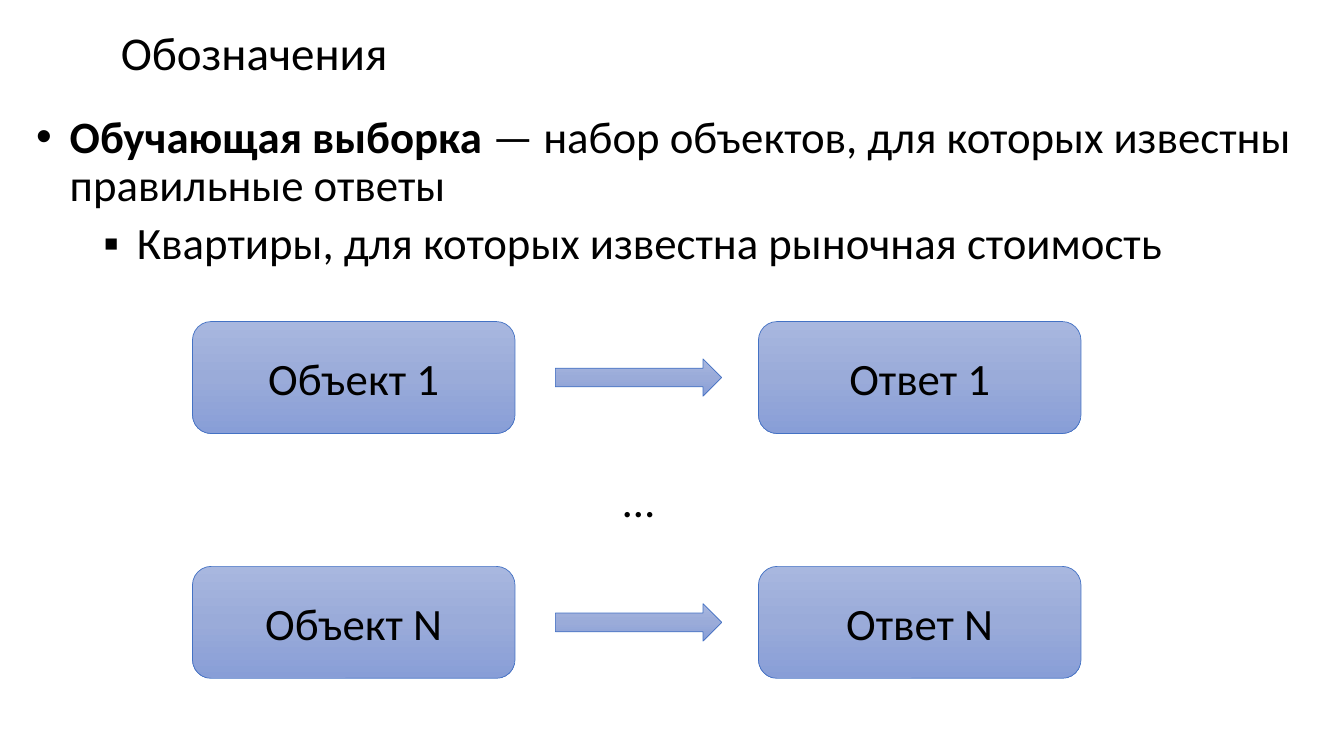
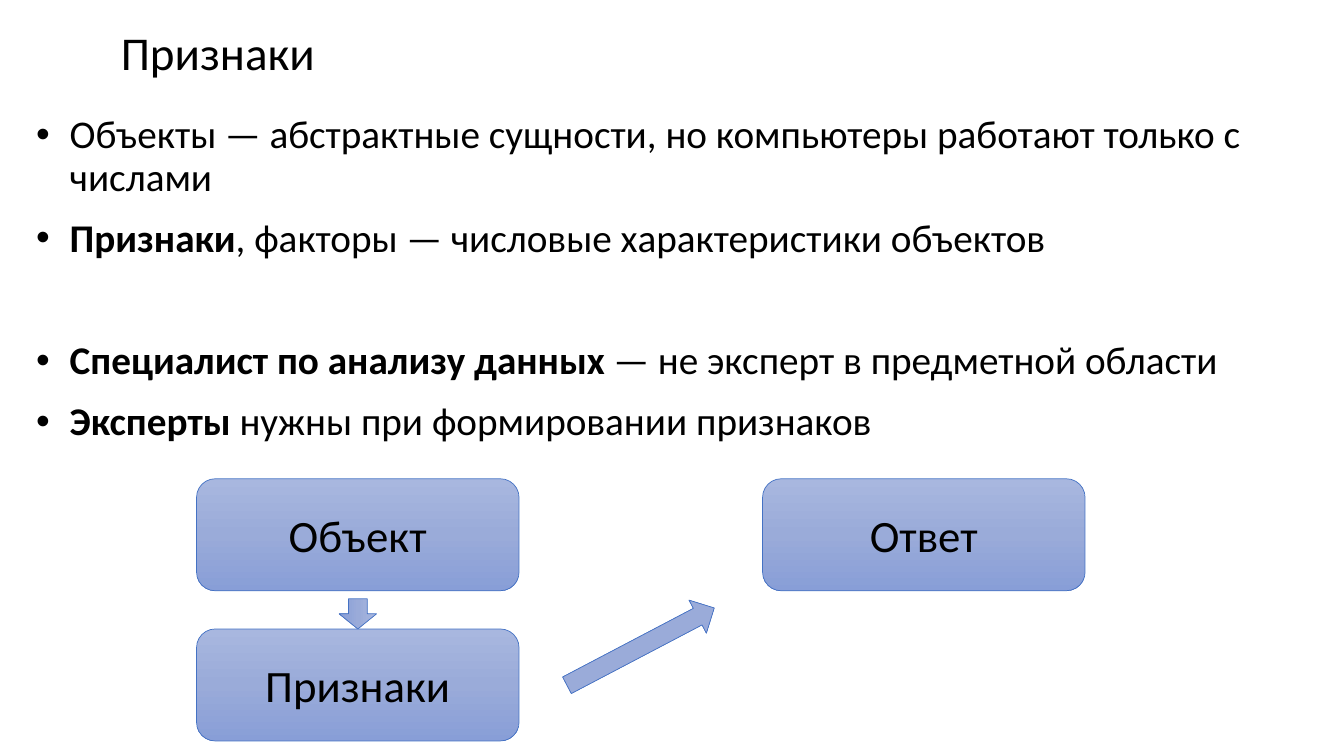
from copy import deepcopy
from dataclasses import dataclass

from lxml import etree
from pptx import Presentation
from pptx.dml.color import RGBColor
from pptx.enum.shapes import MSO_SHAPE
from pptx.enum.text import MSO_ANCHOR, PP_ALIGN
from pptx.oxml.ns import qn
from pptx.util import Pt

ROUNDED = MSO_SHAPE.ROUNDED_RECTANGLE
ARROW = MSO_SHAPE.RIGHT_ARROW
CENTER = PP_ALIGN.CENTER
TOP, MIDDLE = MSO_ANCHOR.TOP, MSO_ANCHOR.MIDDLE


@dataclass(frozen=True)
class Theme:
    font: str = "Calibri"
    bullet_font: str = "Arial"
    text: str = "000000"
    line: str = "4472C4"
    gradient: tuple = ((0, "A8B7DF"), (0.5, "9AABD9"), (1, "889ED7"))
    title_size: float = 33.6
    large_size: float = 32
    body_size: float = 28
    line_spacing: float = 0.9
    line_width: float = 0.5


@dataclass(frozen=True)
class Box:
    left: float
    top: float
    width: float
    height: float

    @property
    def middle_x(self):
        return self.left + self.width / 2

    @property
    def middle_y(self):
        return self.top + self.height / 2

    def lengths(self):
        return [Pt(value) for value in (self.left, self.top, self.width, self.height)]


@dataclass(frozen=True)
class Item:
    spans: tuple  # (text, bold) pairs
    level: int = 0
    space_before: float = 13.3


THEME = Theme()
PAGE_WIDTH, PAGE_HEIGHT = 960, 540
TITLE_BOX = Box(79.2, 18, 859.7, 43.2)
BODY_BOX = Box(18.7, 78.5, 920.2, 442)
HANGING = 24
BULLETS = (("•", HANGING), ("▪", 72))  # mark and text indent by level
NODE_WIDTH, NODE_HEIGHT = 230.4, 80
COLUMN_STEP = 404.3
ARROW_LENGTH, ARROW_HEIGHT = 118.8, 26.7


def centered_box(middle_x, middle_y, width, height):
    return Box(middle_x - width / 2, middle_y - height / 2, width, height)


def format_font(font, size, bold=False):
    font.name = THEME.font
    font.size = Pt(size)
    font.bold = bold
    font.color.rgb = RGBColor.from_string(THEME.text)


def add_label(page, box, text, size, wrap=True):
    frame = page.shapes.add_textbox(*box.lengths()).text_frame
    frame.word_wrap = wrap
    frame.vertical_anchor = TOP
    frame.text = text
    para = frame.paragraphs[0]
    format_font(para.runs[0].font, size)
    return para


# Title and bulleted text

def add_title(page, box, text):
    add_label(page, box, text, THEME.title_size).line_spacing = THEME.line_spacing


def set_bullet(para, level):
    mark, indent = BULLETS[level]
    properties = para._p.get_or_add_pPr()
    properties.set("marL", str(Pt(indent)))
    properties.set("indent", str(-Pt(HANGING)))
    etree.SubElement(properties, qn("a:buFont"), typeface=THEME.bullet_font)
    etree.SubElement(properties, qn("a:buChar"), char=mark)


def add_body(page, box, items, size):
    frame = page.shapes.add_textbox(*box.lengths()).text_frame
    frame.word_wrap = True
    for index, item in enumerate(items):
        para = frame.add_paragraph() if index else frame.paragraphs[0]
        para.level = item.level
        para.line_spacing = THEME.line_spacing
        if index:
            para.space_before = Pt(item.space_before)
        set_bullet(para, item.level)
        for text, bold in item.spans:
            span = para.add_run()
            span.text = text
            format_font(span.font, size, bold)


# Diagram parts

def add_gradient_shape(page, kind, box):
    shape = page.shapes.add_shape(kind, *box.lengths())
    shape.shadow.inherit = False
    shape.line.color.rgb = RGBColor.from_string(THEME.line)
    shape.line.width = Pt(THEME.line_width)
    shape.fill.gradient()
    shape.fill.gradient_angle = 270
    stops = shape._element.spPr.find(".//" + qn("a:gsLst"))
    stops.insert(1, deepcopy(stops[0]))
    for stop, (position, color) in zip(shape.fill.gradient_stops, THEME.gradient):
        stop.position = position
        stop.color.rgb = RGBColor.from_string(color)
    return shape


def add_node(page, left, top, text):
    box = Box(left, top, NODE_WIDTH, NODE_HEIGHT)
    frame = add_gradient_shape(page, ROUNDED, box).text_frame
    frame.vertical_anchor = MIDDLE
    frame.text = text
    para = frame.paragraphs[0]
    para.alignment = CENTER
    format_font(para.runs[0].font, THEME.large_size)
    return box


def add_arrow(page, middle_x, middle_y, length=ARROW_LENGTH, rotation=0):
    box = centered_box(middle_x, middle_y, length, ARROW_HEIGHT)
    add_gradient_shape(page, ARROW, box).rotation = rotation
    return box


def add_sample_diagram(page, left, top):
    """Rows that map objects to answers, with an ellipsis between them."""
    row_step = 174.9
    arrow_middle = left + 318.6
    for row, number in enumerate(("1", "N")):
        row_top = top + row * row_step
        node = add_node(page, left, row_top, f"Объект {number}")
        add_node(page, left + COLUMN_STEP, row_top, f"Ответ {number}")
        add_arrow(page, arrow_middle, node.middle_y)
    gap_middle = top + (row_step + NODE_HEIGHT) / 2
    ellipsis_box = centered_box(arrow_middle, gap_middle, 36.7, 46)
    para = add_label(page, ellipsis_box, "…", THEME.large_size, wrap=False)
    para.alignment = CENTER


def add_feature_diagram(page, left, top):
    """An object described by features, which lead to the answer."""
    down_length = 21.6
    source = add_node(page, left, top, "Объект")
    add_node(page, left + COLUMN_STEP, top, "Ответ")
    features = add_node(page, left, top + 107.3, "Признаки")
    add_arrow(page, left + 317.2, top + 119.9, rotation=332.3)
    add_arrow(page, source.middle_x, features.top - down_length / 2, down_length, 90)


# Slides

def add_page(deck, title, items, size):
    page = deck.slides.add_slide(deck.slide_layouts[6])
    add_body(page, BODY_BOX, items, size)
    add_title(page, TITLE_BOX, title)
    return page


def add_notation_slide(deck):
    items = (
        Item((("Обучающая выборка", True),
              (" — набор объектов, для которых известны правильные ответы", False))),
        Item((("Квартиры, для которых известна рыночная стоимость", False),),
             level=1, space_before=6.7),
    )
    page = add_page(deck, "Обозначения", items, THEME.large_size)
    add_sample_diagram(page, 137.5, 229.7)


def add_features_slide(deck):
    items = (
        Item((("Объекты — абстрактные сущности, но компьютеры работают "
               "только с числами", False),)),
        Item((("Признаки", True),
              (", факторы — числовые характеристики объектов", False))),
        Item((("Специалист по анализу данных ", True),
              ("— не эксперт в предметной области", False)), space_before=57.4),
        Item((("Эксперты", True),
              (" нужны при формировании признаков", False))),
    )
    page = add_page(deck, "Признаки", items, THEME.body_size)
    add_feature_diagram(page, 140.4, 342)


def main():
    deck = Presentation()
    deck.slide_width, deck.slide_height = Pt(PAGE_WIDTH), Pt(PAGE_HEIGHT)
    add_notation_slide(deck)
    add_features_slide(deck)
    deck.save("out.pptx")


if __name__ == "__main__":
    main()
